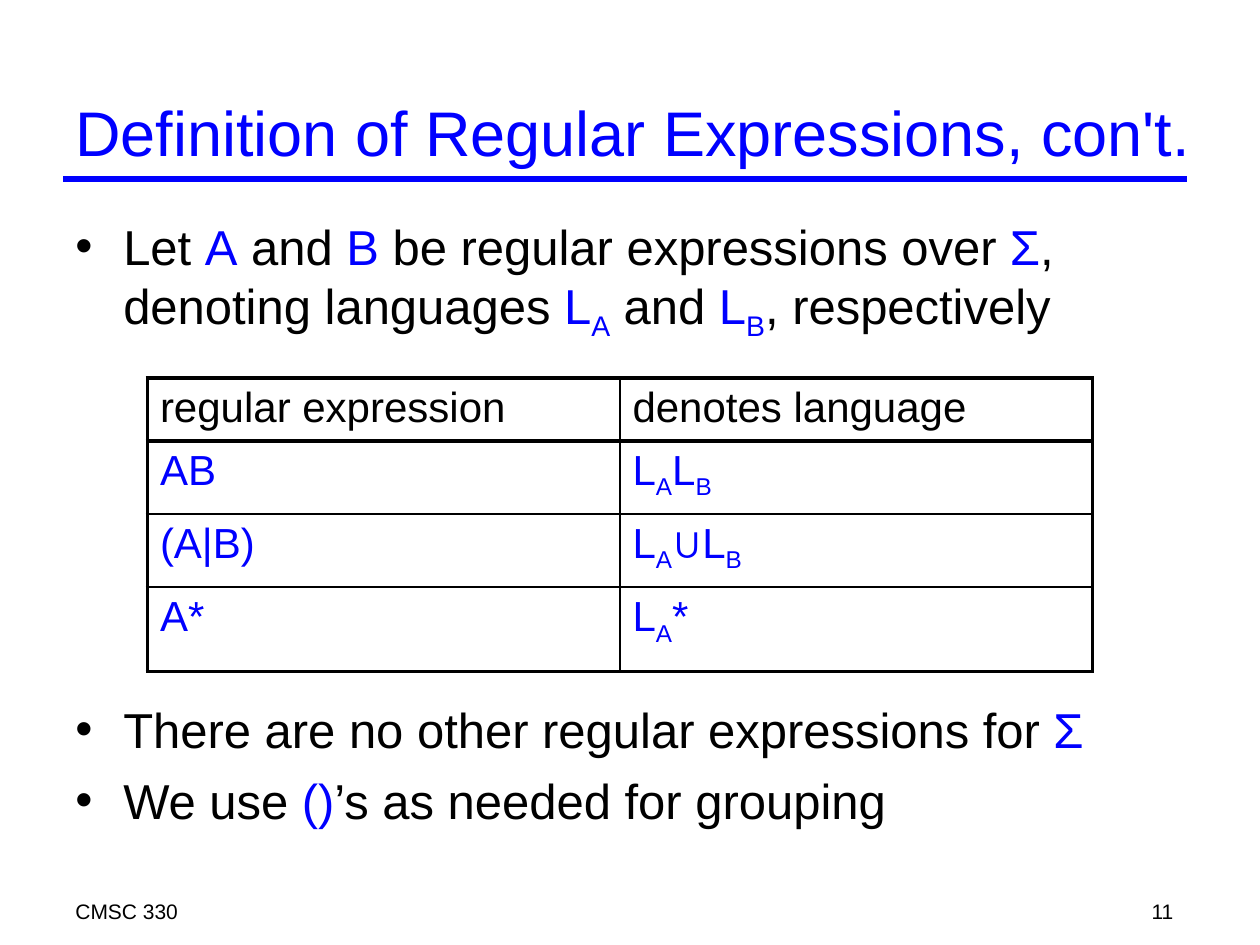
from lxml.etree import SubElement
from pptx import Presentation
from pptx.dml.color import RGBColor
from pptx.enum.shapes import MSO_CONNECTOR
from pptx.enum.text import MSO_ANCHOR, PP_ALIGN
from pptx.oxml.ns import qn
from pptx.util import Inches, Pt

THEME = {
    "font": "Arial",
    "ink": RGBColor(0x00, 0x00, 0x00),
    "accent": RGBColor(0x00, 0x00, 0xFF),
    "title": 36, "body": 28, "table": 24, "footer": 12,
    "thick": 2.25, "thin": 1,
}


def write_spans(para, spans, size):
    """Each span is (text, colour name) with an optional "sub" for subscript."""
    for text, colour, *sub in spans:
        span = para.add_run()
        span.text = text
        span.font.name = THEME["font"]
        span.font.size = Pt(THEME[size])
        span.font.color.rgb = THEME[colour]
        if sub:
            span._r.get_or_add_rPr().set("baseline", "-25000")


def add_text(left, top, width, height, spans, size):
    box = page.shapes.add_textbox(Inches(left), Inches(top), Inches(width), Inches(height))
    box.text_frame.word_wrap = True
    write_spans(box.text_frame.paragraphs[0], spans, size)
    return box.text_frame


deck = Presentation()
deck.slide_width, deck.slide_height = Inches(10), Inches(7.5)
page = deck.slides.add_slide(deck.slide_layouts[6])

# Title and its rule
rule = page.shapes.add_connector(
    MSO_CONNECTOR.STRAIGHT, Inches(0.5), Inches(1.42), Inches(9.42), Inches(1.42))
rule.line.color.rgb = THEME["accent"]
rule.line.width = Pt(3)
SubElement(rule._element.spPr, qn("a:effectLst"))
title = add_text(0.5, 0.67, 9.08, 0.75,
                 [("Definition of Regular Expressions, con't.", "accent")], "title")
title.vertical_anchor = MSO_ANCHOR.MIDDLE

# Footer
add_text(0.5, 7.08, 6.08, 0.25, [("CMSC 330", "ink")], "footer")
number = add_text(7.33, 7.08, 2.08, 0.25, [("11", "ink")], "footer")
number.paragraphs[0].alignment = PP_ALIGN.RIGHT

# Symbols shared by the bullets and the table
SIGMA = ("Σ", "accent")
LANG_A = [("L", "accent"), ("A", "accent", "sub")]
LANG_B = [("L", "accent"), ("B", "accent", "sub")]

# Bullets; the second one leaves room for the table
bullets = [
    (0, [("Let ", "ink"), ("A", "accent"), (" and ", "ink"), ("B", "accent"),
         (" be regular expressions over ", "ink"), SIGMA,
         (", denoting languages ", "ink"), *LANG_A, (" and ", "ink"), *LANG_B,
         (", respectively", "ink")]),
    (204, [("There are no other regular expressions for ", "ink"), SIGMA]),
    (7, [("We use ", "ink"), ("()", "accent"), ("’s as needed for grouping", "ink")]),
]
body = add_text(0.5, 1.67, 8.92, 5.33, bullets[0][1], "body")
for space, spans in bullets[1:]:
    para = body.add_paragraph()
    para.space_before = Pt(space)
    write_spans(para, spans, "body")
for para in body.paragraphs:
    props = para._p.get_or_add_pPr()
    props.set("marL", str(Inches(0.38)))
    props.set("indent", str(-Inches(0.38)))
    SubElement(props, qn("a:buFont")).set("typeface", THEME["font"])
    SubElement(props, qn("a:buChar")).set("char", "•")

# Table
rows = [
    (0.47, [("regular expression", "ink")], [("denotes language", "ink")]),
    (0.58, [("AB", "accent")], LANG_A + LANG_B),
    (0.58, [("(A|B)", "accent")], LANG_A + [("∪", "accent")] + LANG_B),
    (0.67, [("A*", "accent")], LANG_A + [("*", "accent")]),
]
table = page.shapes.add_table(len(rows), 2, Inches(1.17), Inches(3),
                              Inches(7.5), Inches(2.3)).table
table.first_row = table.horz_banding = False
last = len(rows) - 1
for r, (height, *cells) in enumerate(rows):
    table.rows[r].height = Inches(height)
    for c, spans in enumerate(cells):
        cell = table.cell(r, c)
        write_spans(cell.text_frame.paragraphs[0], spans, "table")
        # Thick frame and header rule, thin lines elsewhere
        thick_sides = {"lnL": c == 0, "lnR": c == 1, "lnT": r <= 1, "lnB": r in (0, last)}
        for side, is_thick in thick_sides.items():
            width = Pt(THEME["thick" if is_thick else "thin"])
            border = SubElement(cell._tc.get_or_add_tcPr(), qn("a:" + side), w=str(width))
            fill = SubElement(border, qn("a:solidFill"))
            SubElement(fill, qn("a:srgbClr")).set("val", str(THEME["ink"]))
        cell.fill.background()

deck.save("out.pptx")
